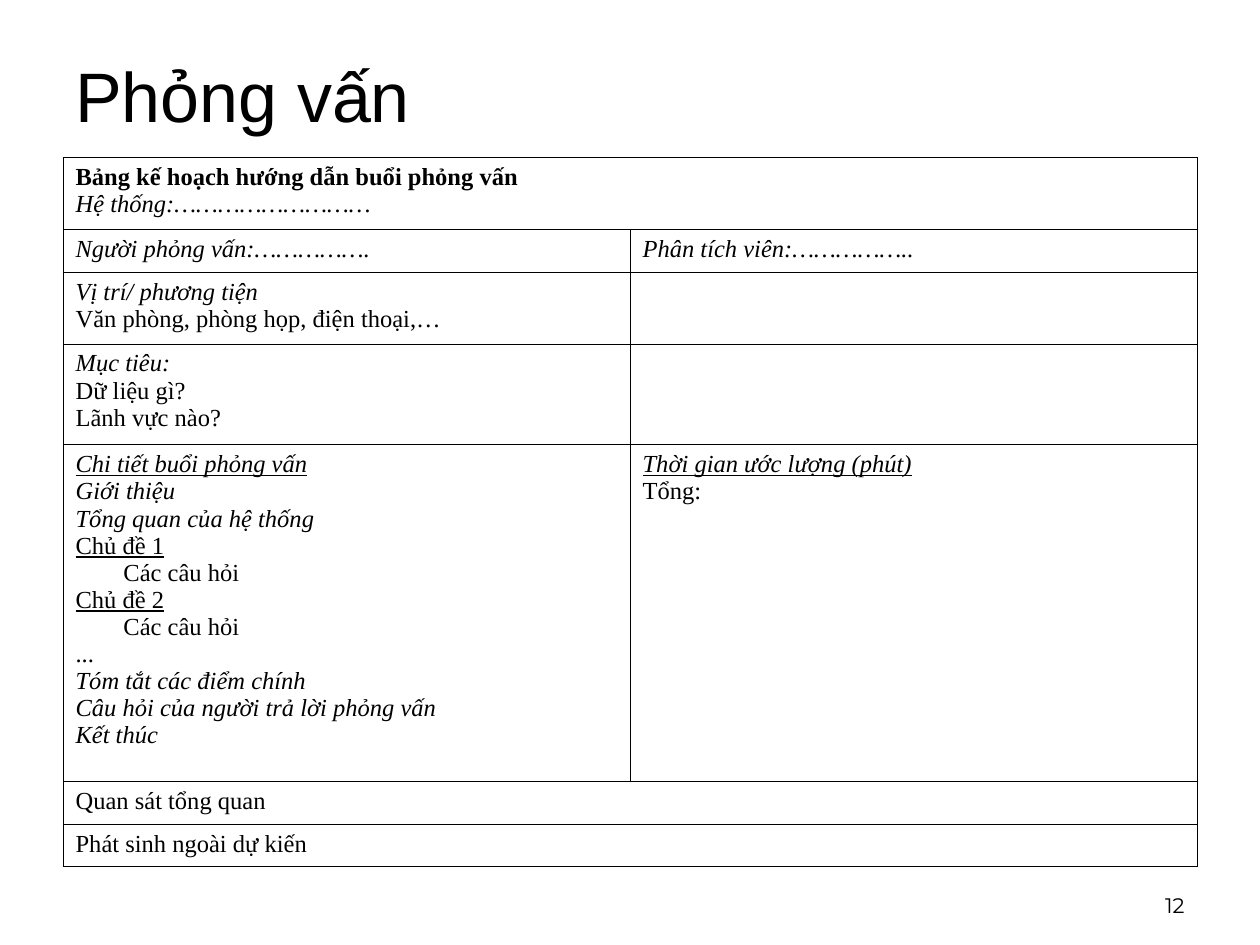
import lxml.etree
import pptx
import pptx.dml.color
import pptx.enum.text
import pptx.oxml.ns
import pptx.util

BLACK = pptx.dml.color.RGBColor(0x00, 0x00, 0x00)
ALIGN = pptx.enum.text.PP_ALIGN
ANCHOR = pptx.enum.text.MSO_ANCHOR
WIDTH, HEIGHT = 10, 7.5
MARGIN = 0.05  # share of the slide width on either side
CONTENT = 1 - 2 * MARGIN

# Each line is (text, marks): b bold, i italic, u underline, > indented.
# A row with a single cell spans both columns.
PLAN_ROWS = [
    (0.57, [[("Bảng kế hoạch hướng dẫn buổi phỏng vấn", "b"),
             ("Hệ thống:………………………", "i")]]),
    (0.34, [[("Người phỏng vấn:…………….", "i")],
            [("Phân tích viên:……………..", "i")]]),
    (0.57, [[("Vị trí/ phương tiện", "i"),
             ("Văn phòng, phòng họp, điện thoại,…", "")], []]),
    (0.8, [[("Mục tiêu:", "i"), ("Dữ liệu gì?", ""), ("Lãnh vực nào?", "")], []]),
    (2.67, [[("Chi tiết buổi phỏng vấn", "iu"),
             ("Giới thiệu", "i"),
             ("Tổng quan của hệ thống", "i"),
             ("Chủ đề 1", "u"),
             ("Các câu hỏi", ">"),
             ("Chủ đề 2", "u"),
             ("Các câu hỏi", ">"),
             ("...", ""),
             ("Tóm tắt các điểm chính", "i"),
             ("Câu hỏi của người trả lời phỏng vấn", "i"),
             ("Kết thúc", "i")],
            [("Thời gian ước lượng (phút)", "iu"), ("Tổng:", "")]]),
    (0.34, [[("Quan sát tổng quan", "")]]),
    (0.34, [[("Phát sinh ngoài dự kiến", "")]]),
]


class SlideBuilder:
    """Holds the style and the current slide; lengths are shares of the slide."""

    title_font = "Arial"
    table_font = "Times New Roman"
    number_font = "Montserrat"
    table_size = 14
    indent = 0.38
    border = 0.45

    def __init__(self, deck):
        self.deck = deck
        self.slide = deck.slides.add_slide(deck.slide_layouts[6])

    def area(self, left, top, width, height):
        return (int(self.deck.slide_width * left), int(self.deck.slide_height * top),
                int(self.deck.slide_width * width), int(self.deck.slide_height * height))

    def set_font(self, para, name, size, marks=""):
        font = para.font
        font.name, font.size = name, pptx.util.Pt(size)
        font.color.rgb = BLACK
        font.bold, font.italic, font.underline = (mark in marks for mark in "biu")

    def text(self, content, area, name, size, align, anchor):
        frame = self.slide.shapes.add_textbox(*self.area(*area)).text_frame
        frame.word_wrap = True
        frame.vertical_anchor = anchor
        para = frame.paragraphs[0]
        para.text = content
        para.alignment = align
        self.set_font(para, name, size)

    def cell_border(self, cell):
        properties = cell._tc.get_or_add_tcPr()
        for index, side in enumerate(("lnL", "lnR", "lnT", "lnB")):
            line = lxml.etree.Element(pptx.oxml.ns.qn("a:" + side),
                                      w=str(pptx.util.Pt(self.border)))
            fill = lxml.etree.SubElement(line, pptx.oxml.ns.qn("a:solidFill"))
            lxml.etree.SubElement(fill, pptx.oxml.ns.qn("a:srgbClr"), val=str(BLACK))
            properties.insert(index, line)

    def cell_lines(self, cell, lines):
        frame = cell.text_frame
        for index, (content, marks) in enumerate(lines):
            para = frame.add_paragraph() if index else frame.paragraphs[0]
            para.text = content
            para.alignment = ALIGN.JUSTIFY
            if ">" in marks:
                properties = para._p.get_or_add_pPr()
                properties.set("marL", str(pptx.util.Inches(self.indent)))
            self.set_font(para, self.table_font, self.table_size, marks)

    def table(self, rows, columns, left, top, width):
        height = sum(row_height for row_height, _ in rows) / HEIGHT
        table = self.slide.shapes.add_table(
            len(rows), columns, *self.area(left, top, width, height)).table
        table.first_row = table.horz_banding = False
        for row, (row_height, contents) in enumerate(rows):
            table.rows[row].height = pptx.util.Inches(row_height)
            for cell in table.rows[row].cells:
                cell.fill.background()
                self.cell_border(cell)
            if len(contents) < columns:
                table.cell(row, 0).merge(table.cell(row, columns - 1))
            for column, lines in enumerate(contents):
                self.cell_lines(table.cell(row, column), lines)


def main():
    deck = pptx.Presentation()
    deck.slide_width = pptx.util.Inches(WIDTH)
    deck.slide_height = pptx.util.Inches(HEIGHT)
    builder = SlideBuilder(deck)

    # Title
    builder.text("Phỏng vấn", (MARGIN, 0.5 / HEIGHT, CONTENT, 0.5 / HEIGHT),
                 builder.title_font, 40, ALIGN.LEFT, ANCHOR.MIDDLE)

    # Interview plan
    builder.table(PLAN_ROWS, 2, MARGIN, 1.25 / HEIGHT, CONTENT)

    # Page number
    builder.text("12", (0.72, 6.83 / HEIGHT, 0.23, 0.5 / HEIGHT),
                 builder.number_font, 12, ALIGN.RIGHT, ANCHOR.BOTTOM)

    deck.save("out.pptx")


if __name__ == "__main__":
    main()
